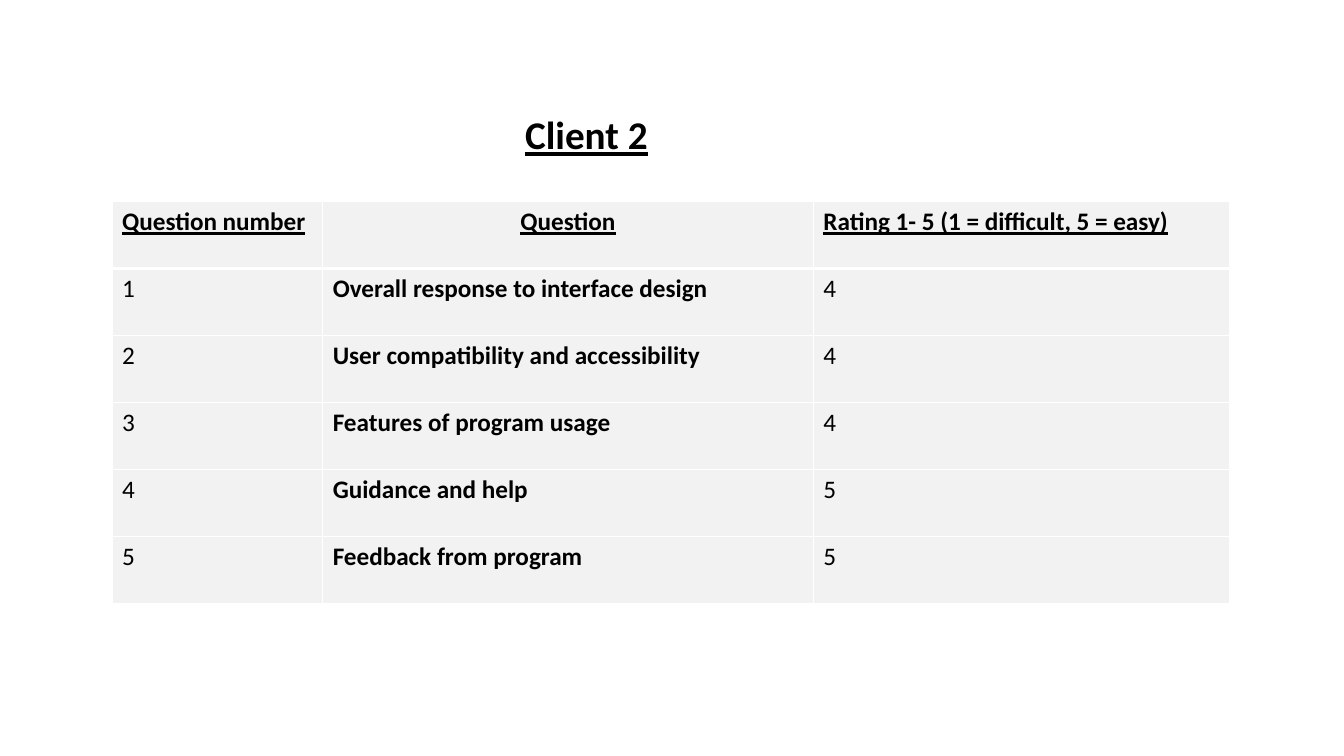
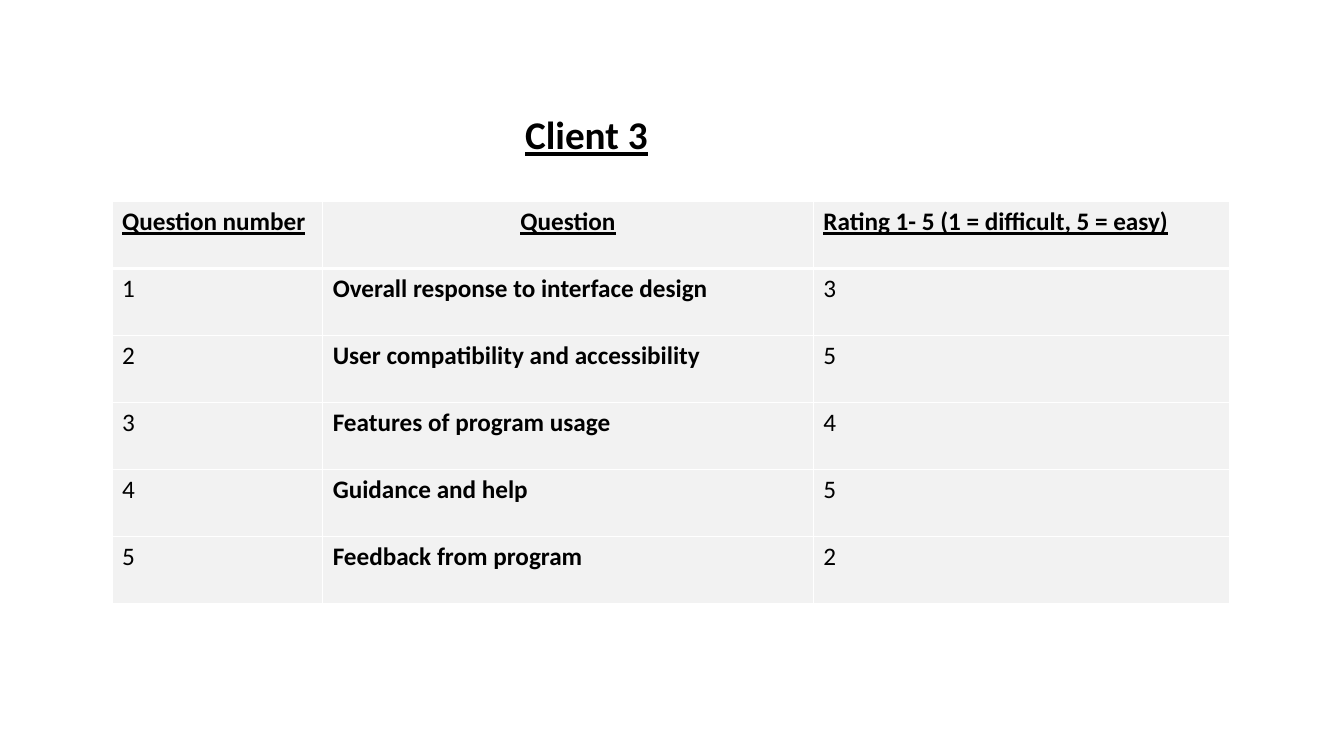
"""Build one rating table slide for each client."""
from lxml.etree import SubElement
from pptx import Presentation
from pptx.dml.color import RGBColor
from pptx.enum.text import MSO_AUTO_SIZE, PP_ALIGN
from pptx.oxml.ns import qn
from pptx.util import Pt

BLACK, WHITE, GREY = "000000", "FFFFFF", "F2F2F2"
BASE = {"name": "Calibri", "size": Pt(18), "bold": False, "underline": False}
BOLD = BASE | {"bold": True}
HEAD = BOLD | {"underline": True}
TITLE = HEAD | {"size": Pt(28)}

HEADS = ["Question number", "Question", "Rating 1- 5 (1 = difficult, 5 = easy)"]
TOPICS = [
    "Overall response to interface design",
    "User compatibility and accessibility",
    "Features of program usage",
    "Guidance and help",
    "Feedback from program",
]
SCORES = {"Client 2": [4, 4, 4, 5, 5], "Client 3": [3, 5, 4, 5, 2]}
WIDTHS = [150.5, 350.5, 297.5]
HEIGHT = 47.9


def paint(fill, color):
    fill.solid()
    fill.fore_color.rgb = RGBColor.from_string(color)


def write(frame, text, look, align=PP_ALIGN.LEFT):
    para = frame.paragraphs[0]
    para.alignment = align
    run = para.add_run()
    run.text = text
    for key, value in look.items():
        setattr(run.font, key, value)
    paint(run.font.fill, BLACK)


deck = Presentation()
deck.slide_width, deck.slide_height = Pt(960), Pt(540)

for client, scores in SCORES.items():
    slide = deck.slides.add_slide(deck.slide_layouts[6])
    rows = [HEADS]
    for num, (topic, score) in enumerate(zip(TOPICS, scores), 1):
        rows.append([str(num), topic, str(score)])

    table = slide.shapes.add_table(
        len(rows), len(HEADS), Pt(80), Pt(144),
        Pt(sum(WIDTHS)), Pt(HEIGHT * len(rows))).table
    table.horz_banding = False
    for col, width in zip(table.columns, WIDTHS):
        col.width = Pt(width)

    for r, row in enumerate(rows):
        table.rows[r].height = Pt(HEIGHT)
        for c, text in enumerate(row):
            cell = table.cell(r, c)
            look = HEAD if r == 0 else BOLD if c == 1 else BASE
            align = PP_ALIGN.CENTER if (r, c) == (0, 1) else PP_ALIGN.LEFT
            write(cell.text_frame, text, look, align)
            props = cell._tc.get_or_add_tcPr()
            for side in "LRTB":
                thick = (r, side) in [(0, "B"), (1, "T")]
                line = SubElement(props, qn(f"a:ln{side}"), w=str(Pt(3 if thick else 1)))
                SubElement(SubElement(line, qn("a:solidFill")), qn("a:srgbClr"), val=WHITE)
            paint(cell.fill, GREY)

    frame = slide.shapes.add_textbox(Pt(368), Pt(75.6), Pt(154), Pt(41)).text_frame
    frame.word_wrap = True
    frame.auto_size = MSO_AUTO_SIZE.SHAPE_TO_FIT_TEXT
    write(frame, client, TITLE)

deck.save("out.pptx")
